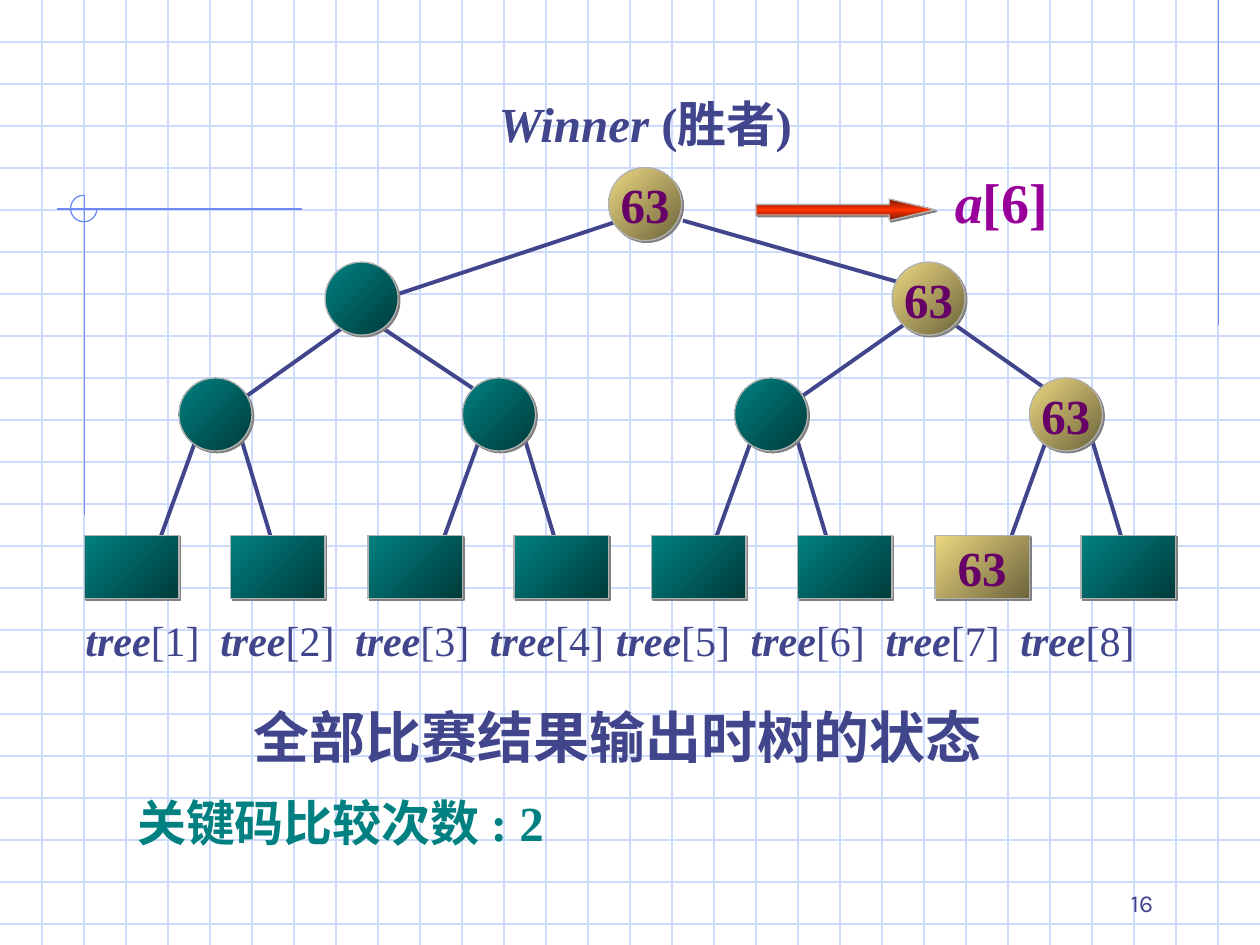
from lxml.etree import SubElement
from pptx import Presentation
from pptx.dml.color import RGBColor
from pptx.enum.shapes import MSO_CONNECTOR, MSO_SHAPE
from pptx.enum.text import MSO_ANCHOR as Anchor, MSO_AUTO_SIZE as AutoSize, PP_ALIGN as Align
from pptx.oxml import parse_xml
from pptx.oxml.ns import nsdecls, qn
from pptx.util import Inches, Pt

GRID, ACCENT, INK = "CFDBFD", "6F89F7", "40458C"
TEAL, GOLD = ("003B3B", "008080"), ("6C633B", "ECD882")
FIRE = ("751700", "FF3300", "751700")
SERIF = "Times New Roman"


def rgb(value):
    return RGBColor.from_string(value)


class TreeSlide:
    """Holds the style and the current slide, and draws its elements."""

    def __init__(self, page):
        self.page = page

    def line(self, x1, y1, x2, y2, color, width=0.75):
        ends = [Inches(value) for value in (x1, y1, x2, y2)]
        line = self.page.shapes.add_connector(MSO_CONNECTOR.STRAIGHT, *ends)
        line.line.color.rgb = rgb(color)
        line.line.width = Pt(width)
        SubElement(line._element.spPr, qn("a:effectLst"))

    def edge(self, *ends):
        self.line(*ends, INK, 2.25)

    def shape(self, kind, left, top, width, height, line_color):
        area = [Inches(value) for value in (left, top, width, height)]
        shape = self.page.shapes.add_shape(kind, *area)
        shape.shadow.inherit = False
        shape.line.color.rgb = rgb(line_color)
        shape.line.width = Pt(0.75)
        return shape

    def arc(self, left, top, size):
        arc = self.shape(MSO_SHAPE.ARC, left, top, size, size, ACCENT)
        arc.fill.background()
        arc.adjustments[0], arc.adjustments[1] = 0, 162

    def solid(self, kind, left, top, width, height, colors, angle=225):
        shape = self.shape(kind, left, top, width, height, "B2B2B2")
        shape.fill.gradient()
        shape.fill.gradient_angle = 360 - angle
        stops = shape._element.spPr.find(qn("a:gradFill")).find(qn("a:gsLst"))
        for stop in list(stops):
            stops.remove(stop)
        for index, color in enumerate(colors):
            position = 100000 * index // (len(colors) - 1)
            stops.append(parse_xml(
                f'<a:gs {nsdecls("a")} pos="{position}"><a:srgbClr val="{color}"/></a:gs>'))
        shape._element.spPr.find(qn("a:effectLst")).append(parse_xml(
            f'<a:outerShdw {nsdecls("a")} dist="17780" dir="2700000" algn="ctr" rotWithShape="0">'
            '<a:srgbClr val="808080"/></a:outerShdw>'))
        return shape

    def node(self, kind, left, top, width, height, key=""):
        shape = self.solid(kind, left, top, width, height, GOLD if key else TEAL)
        if key:
            frame = shape.text_frame
            frame.word_wrap = False
            frame.vertical_anchor = Anchor.MIDDLE
            frame.text = key
            frame.paragraphs[0].alignment = Align.CENTER
            self.style(frame.paragraphs[0].runs[0], 28, "660066")

    def style(self, span, size, color, bold=True, italic=False, font=SERIF):
        span.font.name = font
        span.font.size = Pt(size)
        span.font.color.rgb = rgb(color)
        span.font.bold = bold
        span.font.italic = italic

    def text(self, left, top, width, height, spans, size, color, wrap=False, tabs=()):
        area = [Inches(value) for value in (left, top, width, height)]
        frame = self.page.shapes.add_textbox(*area).text_frame
        frame.word_wrap = wrap
        frame.auto_size = AutoSize.SHAPE_TO_FIT_TEXT
        para = frame.paragraphs[0]
        if tabs:
            stops = SubElement(para._p.get_or_add_pPr(), qn("a:tabLst"))
            for tab in tabs:
                SubElement(stops, qn("a:tab"), pos=str(Inches(tab)), algn="l")
        for words, bold, italic in spans:
            span = para.add_run()
            span.text = words
            self.style(span, size, color, bold, italic)

    def page_number(self, number):
        frame = self.page.shapes.add_textbox(
            Inches(7.17), Inches(6.83), Inches(2.08), Inches(0.5)).text_frame
        frame.word_wrap = True
        frame.vertical_anchor = Anchor.BOTTOM
        frame.text = number
        frame.paragraphs[0].alignment = Align.RIGHT
        self.style(frame.paragraphs[0].runs[0], 14, INK, False, font="Karla")


def main():
    deck = Presentation()
    deck.slide_width, deck.slide_height = Inches(10), Inches(7.5)
    slide = TreeSlide(deck.slides.add_slide(deck.slide_layouts[6]))

    for row in range(1, 23):
        slide.line(0, row / 3, 10, row / 3, GRID)
    for column in range(1, 30):
        slide.line(column / 3, 0, column / 3, 7.5, GRID)
    slide.line(9.67, 0, 9.67, 2.58, ACCENT)
    slide.line(2.4, 1.66, 0.45, 1.66, ACCENT)
    slide.line(0.67, 1.55, 0.67, 4.09, ACCENT)
    slide.arc(0.56, 1.55, 0.21)

    parents = (1.42, 3.67, 5.83, 8.17)
    slide.edge(5.42, 1.75, 7.17, 2.25)
    slide.edge(3.17, 2.33, 4.92, 1.75)
    slide.edge(7.17, 2.58, 6.33, 3.17)
    slide.edge(3, 2.58, 3.75, 3.08)
    slide.edge(7.58, 2.58, 8.42, 3.17)
    slide.edge(2.75, 2.58, 1.92, 3.17)
    for left in parents:
        slide.edge(left + 0.16, 3.42, left - 0.17, 4.33)
        slide.edge(left + 0.5, 3.5, left + 0.75, 4.33)

    circles = [(4.83, 1.33, "63"), (2.58, 2.08, ""), (7.08, 2.08, "63")]
    circles += [(left, 3, key) for left, key in zip(parents, ("", "", "", "63"))]
    for left, top, key in circles:
        slide.node(MSO_SHAPE.OVAL, left, top, 0.58, 0.58, key)
    for leaf in range(8):
        pair, side = divmod(leaf, 2)
        left = 0.67 + 2.25 * pair + 1.16 * side
        slide.node(MSO_SHAPE.RECTANGLE, left, 4.25, 0.75, 0.5, "63" if leaf == 6 else "")

    arrow = slide.solid(MSO_SHAPE.RIGHT_ARROW, 6, 1.58, 1.42, 0.17, FIRE, 90)
    arrow.adjustments[0], arrow.adjustments[1] = 0.5, 2.13

    slide.text(3.86, 0.69, 2.72, 0.57,
               [("Winner ", True, True), ("(胜者)", True, False)], 28, INK)
    slide.text(7.48, 1.28, 0.94, 0.64,
               [("a", True, True), ("[6]", True, False)], 32, "990099")
    slide.text(1.91, 5.53, 6.02, 0.64, [("全部比赛结果输出时树的状态", True, False)], 32, INK)
    slide.text(0.99, 6.24, 3.75, 0.57, [("关键码比较次数 : 2", True, False)], 28, "008080")

    labels = []
    for number in range(1, 9):
        ending = "\t" if number < 8 else ""
        labels += [("tree", True, True), (f"[{number}]{ending}", False, False)]
    tabs = [start + 1.07 * step for start in (0, 4.21) for step in range(4)][1:]
    slide.text(0.58, 4.83, 9.42, 0.5, labels, 24, INK, True, tabs)
    slide.page_number("16")
    deck.save("out.pptx")


if __name__ == "__main__":
    main()
